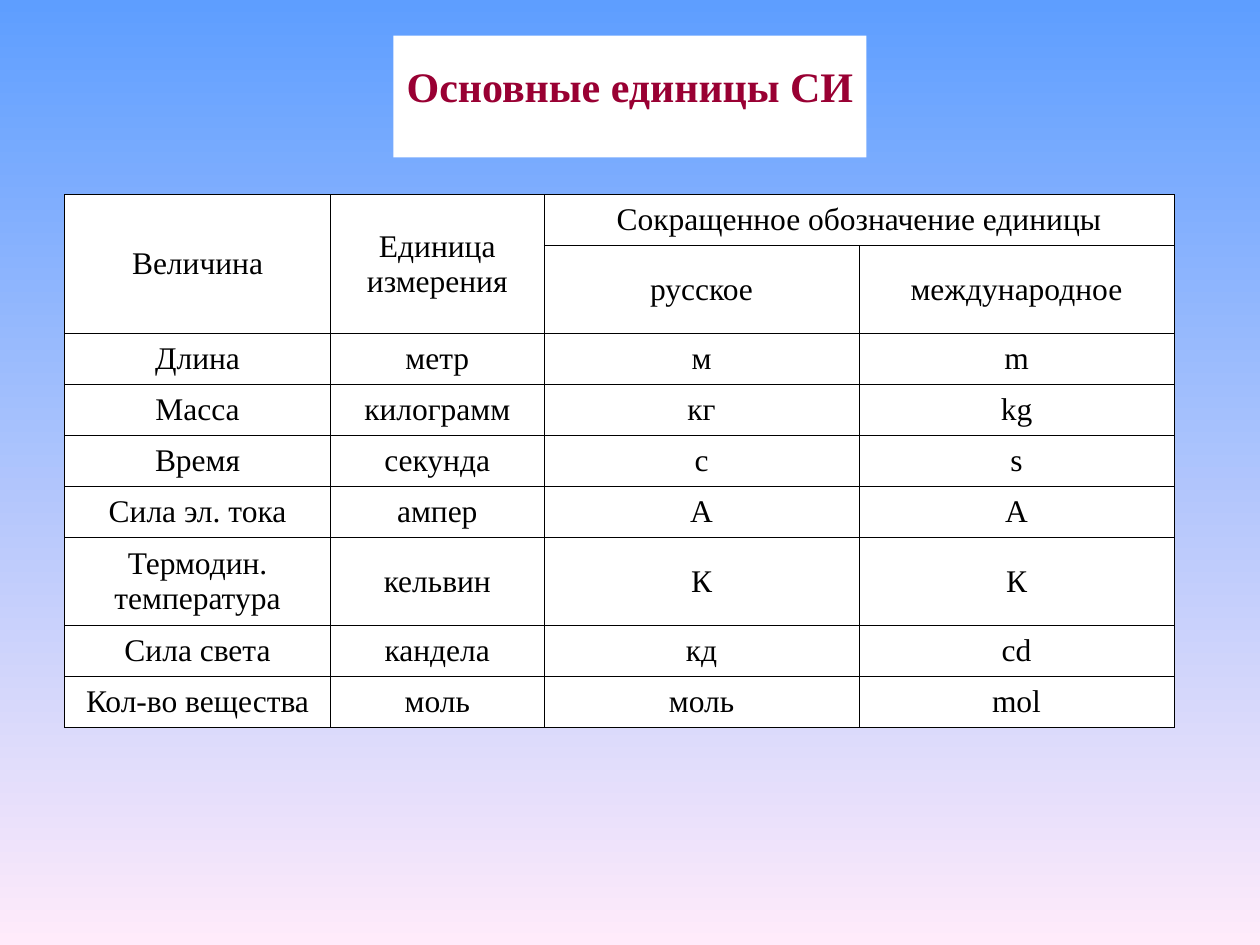
"""Build a slide with a table of the base SI units."""
from dataclasses import dataclass
from typing import Any

from lxml import etree
from pptx import Presentation, util as u
from pptx.dml import color
from pptx.enum import text
from pptx.oxml import ns


@dataclass(frozen=True)
class Theme:
    sky: color.RGBColor = color.RGBColor(0x5E, 0x9E, 0xFF)
    blush: color.RGBColor = color.RGBColor(0xFF, 0xEB, 0xFA)
    paper: color.RGBColor = color.RGBColor(0xFF, 0xFF, 0xFF)
    ink: color.RGBColor = color.RGBColor(0, 0, 0)
    heading: color.RGBColor = color.RGBColor(0x99, 0x00, 0x33)
    font: str = "Times New Roman"
    title_size: float = 24
    table_size: float = 18
    border: float = 0.34


@dataclass(frozen=True)
class Frame:
    left: float
    top: float
    width: float
    height: float


@dataclass(frozen=True)
class Unit:
    quantity: str
    name: str
    russian: str
    international: str


THEME = Theme()
TITLE_FRAME = Frame(224.85, 20.4, 270.3, 69.6)
TABLE_LEFT, TABLE_TOP = 36.9, 111.1
COLUMNS = (152, 122, 180, 180)
SINGLE_ROW, DOUBLE_ROW = 29.1, 50.5
DOUBLE_ROWS = (1, 6)
HEADERS = (
    ("Величина", "Единица\vизмерения", "Сокращенное обозначение единицы", ""),
    ("", "", "русское", "международное"),
)
MERGES = (((0, 0), (1, 0)), ((0, 1), (1, 1)), ((0, 2), (0, 3)))
UNITS = (
    Unit("Длина", "метр", "м", "m"),
    Unit("Масса", "килограмм", "кг", "kg"),
    Unit("Время", "секунда", "с", "s"),
    Unit("Сила эл. тока", "ампер", "А", "А"),
    Unit("Термодин. температура", "кельвин", "К", "К"),
    Unit("Сила света", "кандела", "кд", "cd"),
    Unit("Кол-во вещества", "моль", "моль", "mol"),
)


def apply(target: Any, values: dict[str, Any]) -> None:
    for name, value in values.items():
        setattr(target, name, value)


def write(para: Any, words: str, size: float, ink: color.RGBColor, bold: bool) -> None:
    para.text = words
    para.alignment = text.PP_ALIGN.CENTER
    for span in para.runs:
        apply(span.font, {"name": THEME.font, "size": u.Pt(size), "bold": bold})
        span.font.color.rgb = ink


def paint_background(page: Any) -> None:
    fill = page.background.fill
    fill.gradient()
    fill.gradient_angle = 270
    for stop, tint, position in zip(fill.gradient_stops, (THEME.sky, THEME.blush), (0, 1)):
        stop.color.rgb = tint
        stop.position = position


def draw_title(page: Any, frame: Frame) -> None:
    box = page.shapes.title
    apply(box, {side: u.Pt(getattr(frame, side)) for side in ("left", "top", "width", "height")})
    box.fill.solid()
    box.fill.fore_color.rgb = THEME.paper
    apply(box.text_frame, {
        "margin_left": u.Pt(7.2), "margin_right": u.Pt(7.2),
        "margin_top": u.Pt(14), "margin_bottom": 0,
        "vertical_anchor": text.MSO_ANCHOR.TOP,
        "auto_size": text.MSO_AUTO_SIZE.NONE, "word_wrap": False,
    })
    write(box.text_frame.paragraphs[0], "Основные единицы СИ", THEME.title_size, THEME.heading, True)


def outline(cell: Any) -> None:
    properties = cell._tc.get_or_add_tcPr()
    for edge in ("a:lnL", "a:lnR", "a:lnT", "a:lnB"):
        line = etree.SubElement(properties, ns.qn(edge), w=str(u.Pt(THEME.border)))
        fill = etree.SubElement(line, ns.qn("a:solidFill"))
        etree.SubElement(fill, ns.qn("a:srgbClr"), val=str(THEME.ink))


def draw_cell(cell: Any, words: str) -> None:
    outline(cell)
    cell.fill.solid()
    cell.fill.fore_color.rgb = THEME.paper
    apply(cell, {
        "vertical_anchor": text.MSO_ANCHOR.MIDDLE,
        "margin_left": u.Pt(7.2), "margin_right": u.Pt(7.2),
        "margin_top": u.Pt(3.6), "margin_bottom": u.Pt(3.6),
    })
    if words:
        write(cell.text_frame.paragraphs[0], words, THEME.table_size, THEME.ink, False)


def draw_table(page: Any) -> None:
    rows = HEADERS + tuple(
        (unit.quantity, unit.name, unit.russian, unit.international) for unit in UNITS
    )
    heights = [DOUBLE_ROW if index in DOUBLE_ROWS else SINGLE_ROW for index in range(len(rows))]
    bounds = (TABLE_LEFT, TABLE_TOP, sum(COLUMNS), sum(heights))
    table = page.shapes.add_table(len(rows), len(COLUMNS), *map(u.Pt, bounds)).table
    apply(table, {"first_row": False, "horz_banding": False})
    for column, width in zip(table.columns, COLUMNS):
        column.width = u.Pt(width)
    for row, height, words in zip(table.rows, heights, rows):
        row.height = u.Pt(height)
        for cell, label in zip(row.cells, words):
            draw_cell(cell, label)
    for first, last in MERGES:
        table.cell(*first).merge(table.cell(*last))


def main() -> None:
    deck = Presentation()
    apply(deck, {"slide_width": u.Pt(720), "slide_height": u.Pt(540)})
    page = deck.slides.add_slide(deck.slide_layouts.get_by_name("Title Only"))
    paint_background(page)
    draw_title(page, TITLE_FRAME)
    draw_table(page)
    deck.save("out.pptx")


if __name__ == "__main__":
    main()
